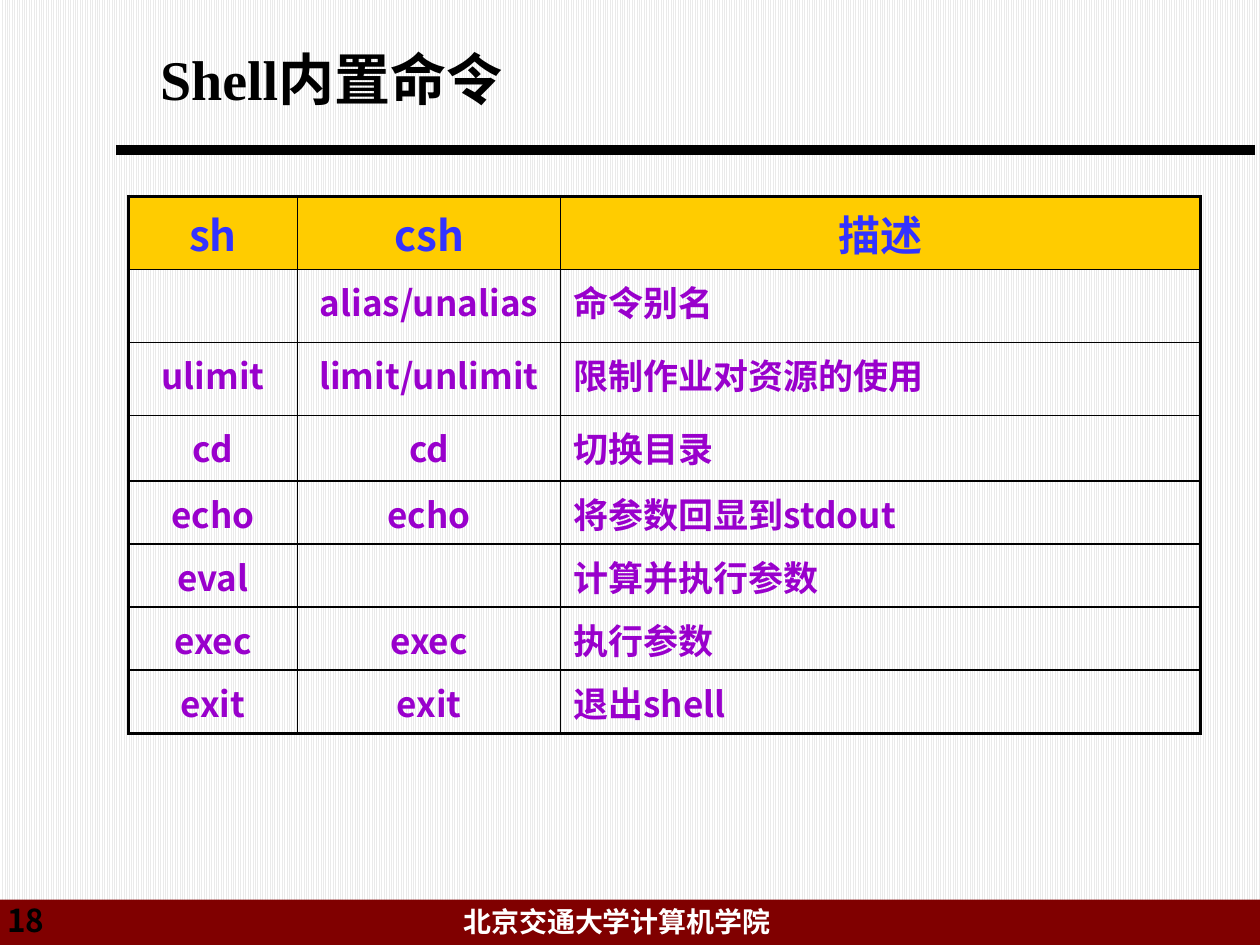
from lxml.etree import SubElement
from pptx import Presentation
from pptx.dml.color import RGBColor
from pptx.enum.dml import MSO_PATTERN
from pptx.enum.shapes import MSO_CONNECTOR, MSO_SHAPE
from pptx.enum.text import MSO_ANCHOR, MSO_AUTO_SIZE, PP_ALIGN as Align
from pptx.oxml import parse_xml
from pptx.oxml.ns import nsdecls, qn
from pptx.util import Inches, Pt

COLORS = {
    "black": "000000", "white": "FFFFFF", "stripe": "EAEAEA", "footer": "800000",
    "header": "FFCC00", "heading": "3333FF", "command": "9900CC",
}
SANS = "Noto Sans CJK SC"
SERIF = "Times New Roman"


def color(name):
    return RGBColor.from_string(COLORS[name])


def write(frame, text, size=20, font=SANS, fill="black", align=Align.LEFT):
    para = frame.paragraphs[0]
    para.alignment = align
    span = para.add_run()
    span.text = text
    span.font.size = Pt(size)
    span.font.bold = True
    span.font.color.rgb = color(fill)
    span.font.name = font
    SubElement(span.font._element, qn("a:ea"), typeface=SANS)


deck = Presentation()
deck.slide_width = Inches(10)
deck.slide_height = Inches(7.5)
page = deck.slides.add_slide(deck.slide_layouts[5])

backdrop = page.background.fill
backdrop.patterned()
backdrop.pattern = MSO_PATTERN.LIGHT_VERTICAL
backdrop.fore_color.rgb = color("stripe")
backdrop.back_color.rgb = color("white")

footer_bar = page.shapes.add_shape(
    MSO_SHAPE.RECTANGLE, Inches(0), Inches(7.14), Inches(10), Inches(0.36))
footer_bar.shadow.inherit = False
footer_bar.fill.solid()
footer_bar.fill.fore_color.rgb = color("footer")
footer_bar.line.fill.background()

title_rule = page.shapes.add_connector(
    MSO_CONNECTOR.STRAIGHT, Inches(0.92), Inches(1.19), Inches(9.96), Inches(1.19))
title_rule.line.color.rgb = color("black")
title_rule.line.width = Pt(6)
SubElement(title_rule._element.spPr, qn("a:effectLst"))

title = page.shapes.title
title.left, title.top = Inches(1.17), Inches(0.3)
title.width, title.height = Inches(8.33), Inches(1.25)
title.text_frame.auto_size = MSO_AUTO_SIZE.NONE
title.text_frame.vertical_anchor = MSO_ANCHOR.TOP
write(title.text_frame, "Shell内置命令", size=32, font=SERIF)

footer_texts = [
    ("北京交通大学计算机学院", 3.58, 7.13, 3.32, 16, SERIF, "white"),
    ("18", -0.04, 7.1, 0.64, 18, SANS, "black"),
]
for text, left, top, width, size, font, fill in footer_texts:
    box = page.shapes.add_textbox(Inches(left), Inches(top), Inches(width), Inches(0.37))
    box.text_frame.word_wrap = True
    write(box.text_frame, text, size=size, font=font, fill=fill)

commands = [
    ("sh", "csh", "描述"),
    ("", "alias/unalias", "命令别名"),
    ("ulimit", "limit/unlimit", "限制作业对资源的使用"),
    ("cd", "cd", "切换目录"),
    ("echo", "echo", "将参数回显到stdout"),
    ("eval", "", "计算并执行参数"),
    ("exec", "exec", "执行参数"),
    ("exit", "exit", "退出shell"),
]
column_widths = [1.34, 2.09, 5.08]
row_heights = [0.58, 0.58, 0.58, 0.52, 0.5, 0.5, 0.5, 0.5]
last_row, last_column = len(commands) - 1, len(column_widths) - 1

table = page.shapes.add_table(
    len(commands), len(column_widths), Inches(1.02), Inches(1.56),
    Inches(sum(column_widths)), Inches(sum(row_heights))).table
table.first_row = False
table.horz_banding = False
for column, width in zip(table.columns, column_widths):
    column.width = Inches(width)
for row, height in zip(table.rows, row_heights):
    row.height = Inches(height)

for r, entries in enumerate(commands):
    for c, text in enumerate(entries):
        cell = table.cell(r, c)
        if r == 0:
            cell.fill.solid()
            cell.fill.fore_color.rgb = color("header")
        else:
            cell.fill.background()
        if text:
            write(cell.text_frame, text,
                  size=24 if r == 0 else 20,
                  fill="heading" if r == 0 else "command",
                  align=Align.LEFT if r and c == last_column else Align.CENTER)
        outer_edges = {"lnL": c == 0, "lnR": c == last_column,
                       "lnT": r == 0, "lnB": r == last_row}
        for position, (edge, outer) in enumerate(outer_edges.items()):
            border = parse_xml(
                f'<a:{edge} {nsdecls("a")} w="{Pt(2.25 if outer else 1)}"><a:solidFill>'
                f'<a:srgbClr val="{COLORS["black"]}"/></a:solidFill></a:{edge}>')
            cell._tc.get_or_add_tcPr().insert(position, border)

deck.save("out.pptx")
